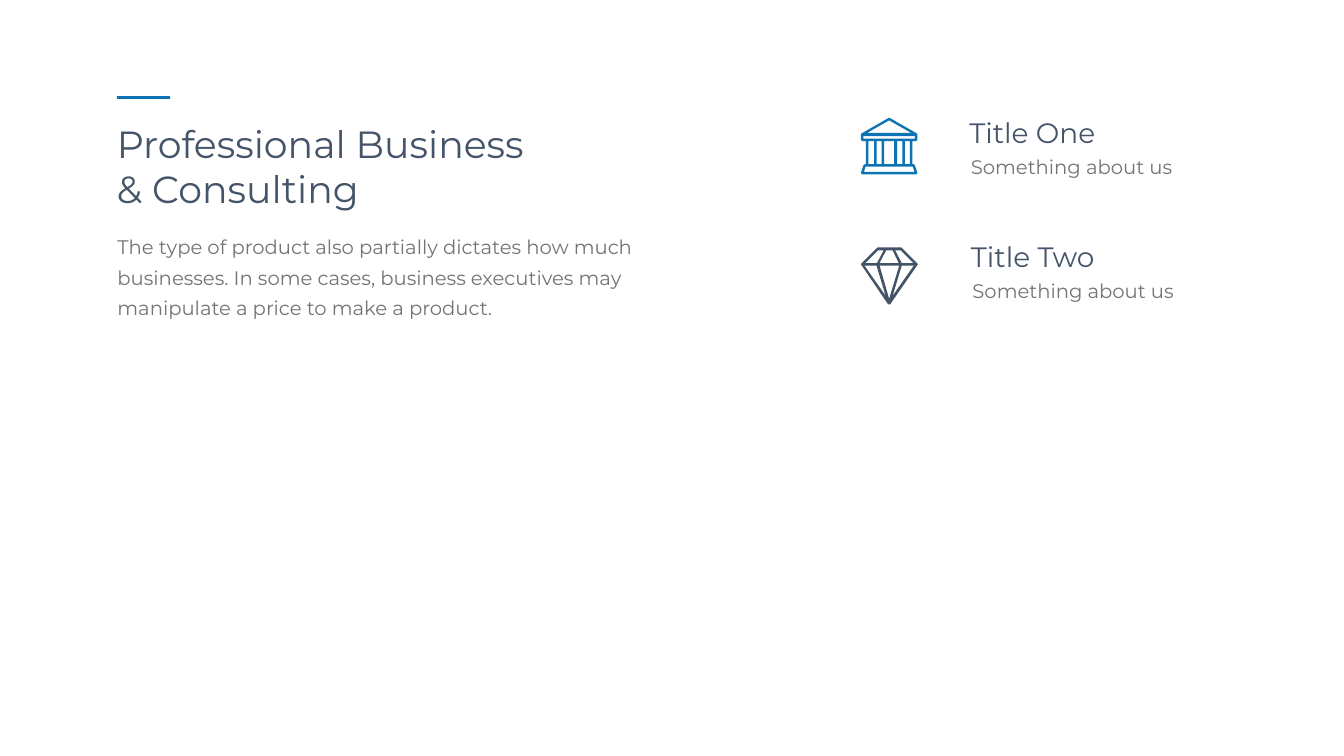
from pptx import Presentation
from pptx.dml.color import RGBColor
from pptx.enum.shapes import MSO_SHAPE
from pptx.enum.text import MSO_ANCHOR, MSO_AUTO_SIZE, PP_ALIGN
from pptx.util import Cm, Pt

BLUE = RGBColor(0x0D, 0x73, 0xB2)
NAVY = RGBColor(0x44, 0x54, 0x69)
SLATE = RGBColor(0x44, 0x54, 0x68)
GRAY = RGBColor(0x73, 0x75, 0x72)
WHITE = RGBColor(0xFF, 0xFF, 0xFF)
RECT = MSO_SHAPE.RECTANGLE
TOP = MSO_ANCHOR.TOP
LEFT = PP_ALIGN.LEFT
FIXED = MSO_AUTO_SIZE.NONE
UNIT = Cm(0.0254)  # one step of the icon grids

# Each icon is an outer outline followed by the openings cut out of it
TEMPLE = [
    [(110, 46), (112, 43), (112, 33), (111, 31), (57, 0), (55, 0), (1, 31),
     (0, 33), (0, 43), (2, 46), (10, 46), (10, 92), (8, 92), (5, 94),
     (0, 109), (2, 112), (110, 112), (112, 109), (107, 94), (105, 92),
     (102, 92), (102, 46)],
    [(56, 5), (100, 30), (12, 30)],
    [(5, 36), (107, 36), (107, 41), (5, 41)],
    [(103, 97), (106, 107), (6, 107), (9, 97)],
]
for x1, x2 in [(15, 26), (31, 41), (46, 66), (72, 82), (87, 97)]:
    TEMPLE.append([(x1, 46), (x2, 46), (x2, 92), (x1, 92)])

DIAMOND = [
    [(113, 34), (112, 32), (82, 2), (80, 0), (33, 0), (31, 2), (1, 32),
     (0, 34), (1, 35), (54, 113), (58, 113), (112, 35)],
    [(34, 6), (45, 6), (32, 31), (9, 31)],
    [(50, 6), (63, 6), (75, 31), (37, 31)],
    [(68, 6), (79, 6), (104, 31), (81, 31)],
    [(7, 36), (31, 36), (49, 96)],
    [(37, 36), (76, 36), (56, 102)],
    [(81, 36), (105, 36), (63, 96)],
]


def put_text(box, text, place, size, color, pitch=None, inset=(0.25, 0.13)):
    """Place a box and fill it; place and inset are in cm, pitch in points."""
    box.left, box.top, box.width, box.height = map(Cm, place)
    frame = box.text_frame
    side, edge = map(Cm, inset)
    form = {"word_wrap": True, "auto_size": FIXED, "vertical_anchor": TOP,
            "margin_left": side, "margin_right": side,
            "margin_top": edge, "margin_bottom": edge}
    for name, value in form.items():
        setattr(frame, name, value)
    para = frame.paragraphs[0]
    para.text = text
    para.alignment = LEFT
    if pitch:
        para.line_spacing = Pt(pitch)
    para.font.name = "Montserrat"
    para.font.size = Pt(size)
    para.font.color.rgb = color


def paint(shape, color):
    shape.fill.solid()
    shape.fill.fore_color.rgb = color
    shape.line.fill.background()
    shape.shadow.inherit = False


deck = Presentation()
deck.slide_width, deck.slide_height = Cm(67.72), Cm(38.1)
slide = deck.slides.add_slide(deck.slide_layouts[5])
slide.background.fill.solid()
slide.background.fill.fore_color.rgb = WHITE
shapes = slide.shapes

# Heading, paragraph and accent rule
put_text(shapes.title, "Professional Business & Consulting",
         (5.64, 5.94, 22.48, 4.88), 54, NAVY)
body = shapes.add_textbox(0, 0, 0, 0)
put_text(body, "The type of product also partially dictates how much "
         "businesses. In some cases, business executives may "
         "manipulate a price to make a product.",
         (5.31, 11.23, 27.66, 5.08), 28, GRAY, 43, (0.61, 0.3))
rule = shapes.add_shape(RECT, Cm(5.89), Cm(4.85), Cm(2.69), Cm(0.13))
paint(rule, BLUE)

# Feature rows: title, left and top of text, top of icon, icon, color
rows = [
    ("Title One", 48.59, 5.94, 5.94, TEMPLE, BLUE),
    ("Title Two", 48.67, 12.19, 12.47, DIAMOND, SLATE),
]
for title, left, top, rise, icon, color in rows:
    head = shapes.add_textbox(0, 0, 0, 0)
    put_text(head, title, (left, top, 10.29, 1.73), 40, NAVY, 40.8)
    note = shapes.add_textbox(0, 0, 0, 0)
    put_text(note, "Something about us",
             (left + 0.08, top + 1.72, 10.74, 1.45), 28, GRAY)

    outer, *holes = icon
    pen = shapes.build_freeform(*outer[0], scale=1 / UNIT if UNIT < 1 else UNIT)
    pen.add_line_segments(outer[1:], close=True)
    for hole in holes:
        pen.move_to(*hole[0])
        pen.add_line_segments(hole[1:], close=True)
    paint(pen.convert_to_shape(Cm(43.38), Cm(rise)), color)

deck.save("out.pptx")
